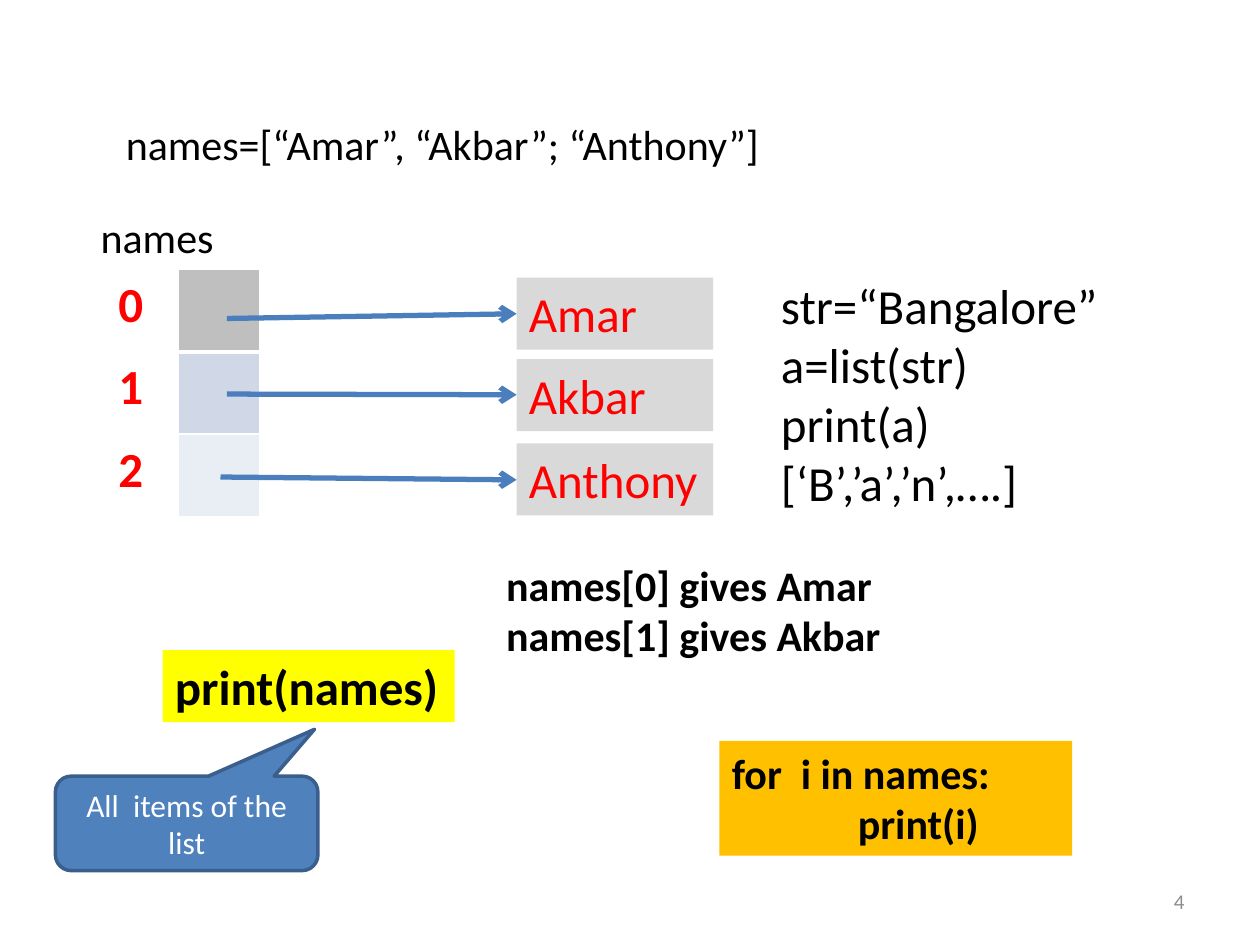
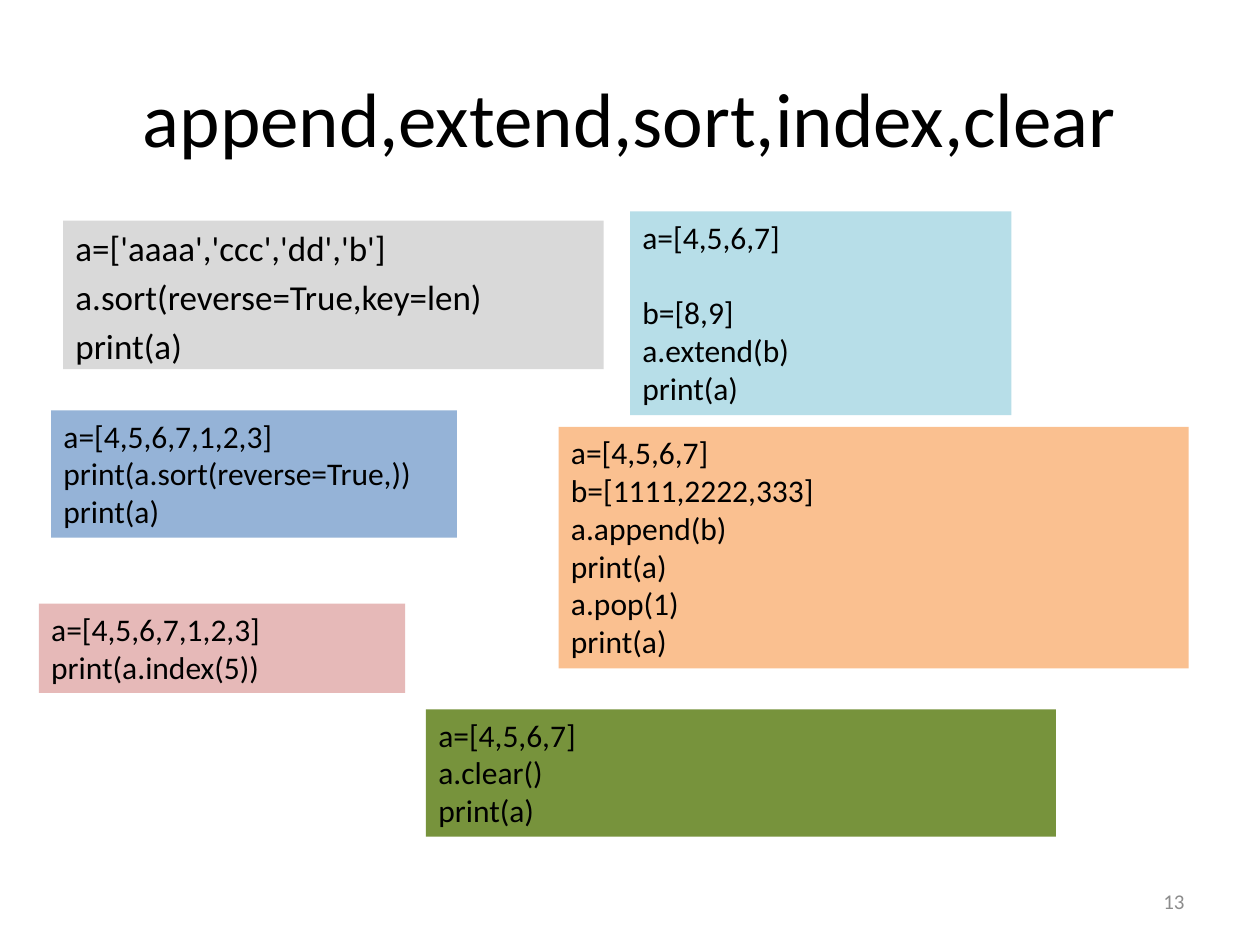
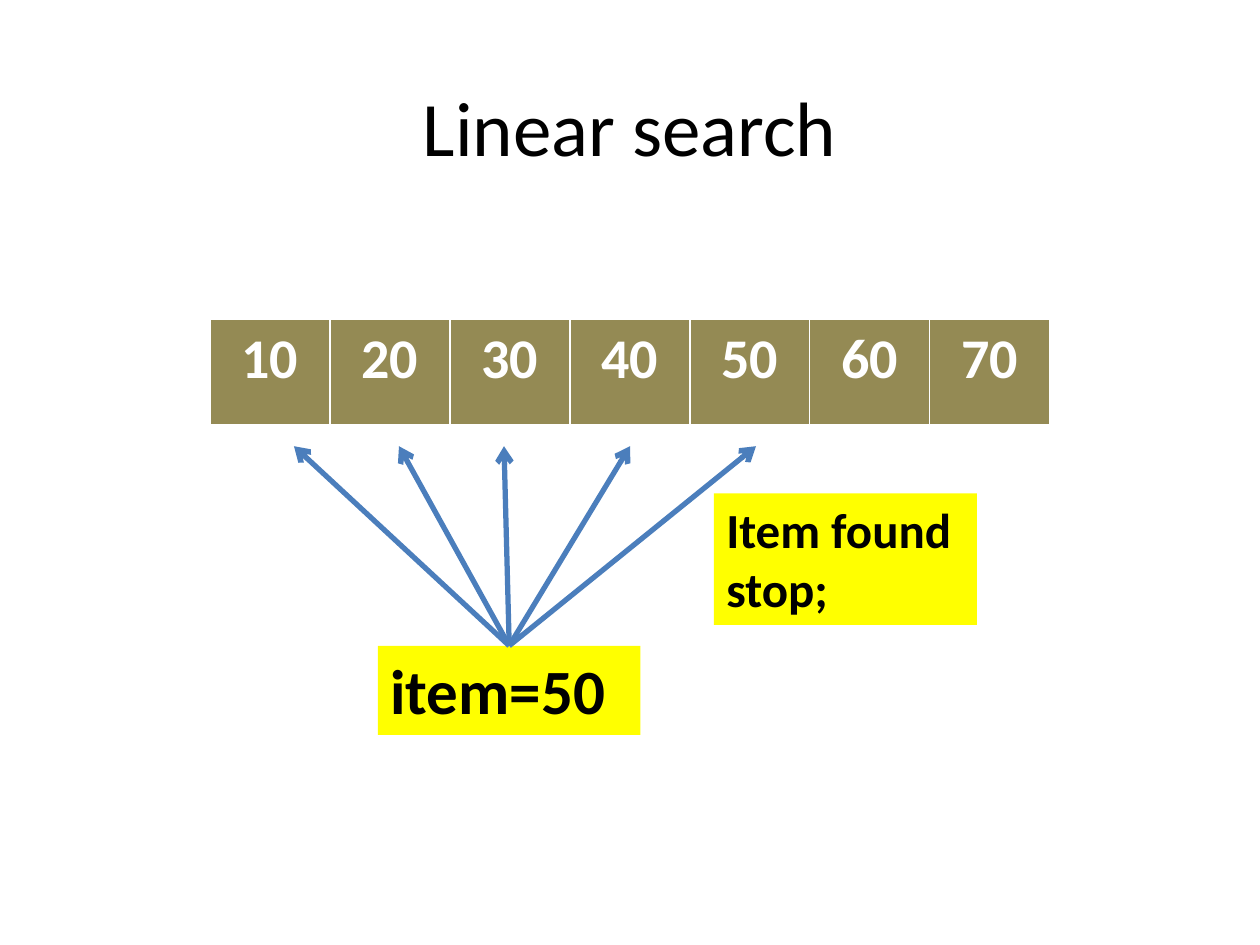
"""Build three slides on lists and linear search."""
from pptx import Presentation
from pptx.dml.color import RGBColor
from pptx.enum.shapes import MSO_CONNECTOR, MSO_SHAPE
from pptx.enum.text import MSO_ANCHOR, PP_ALIGN
from pptx.oxml.ns import qn
from pptx.util import Pt
from lxml.etree import SubElement

FONT = "Calibri"
BLACK, WHITE, RED, YELLOW = "000000", "FFFFFF", "FF0000", "FFFF00"
GREY, LIGHT_GREY, ARROW_BLUE = "8C8C8C", "D9D9D9", "4B7EBC"


def color(value):
    return RGBColor.from_string(value)


def fill_with(target, value):
    target.fill.solid()
    target.fill.fore_color.rgb = color(value)


class Deck:
    def __init__(self):
        self.presentation = Presentation()
        self.presentation.slide_width = Pt(720)
        self.presentation.slide_height = Pt(540)
        self.page = None

    def new_page(self, title=None, title_top=0):
        layouts = self.presentation.slide_layouts
        self.page = self.presentation.slides.add_slide(layouts[5 if title else 6])
        if title:
            box = self.page.shapes.title
            box.left, box.top, box.width, box.height = Pt(36), Pt(title_top), Pt(648), Pt(90)
            self.set_lines(box.text_frame, [title], 44, align=PP_ALIGN.CENTER, anchor=MSO_ANCHOR.MIDDLE)

    def set_lines(self, frame, lines, size, ink=BLACK, bold=False, align=PP_ALIGN.LEFT,
                  anchor=MSO_ANCHOR.TOP, wrap=True, before=None, indents=None):
        frame.word_wrap = wrap
        frame.vertical_anchor = anchor
        for number, line in enumerate(lines):
            para = frame.paragraphs[0] if number == 0 else frame.add_paragraph()
            para.alignment = align
            para.space_before = Pt((before or {}).get(number, 0))
            if indents and number in indents:
                para._p.get_or_add_pPr().set("marL", str(Pt(indents[number])))
            span = para.add_run()
            span.text = line
            span.font.name = FONT
            span.font.size = Pt(size)
            span.font.bold = bold
            span.font.color.rgb = color(ink)

    def text(self, place, lines, size, fill=None, **style):
        box = self.page.shapes.add_textbox(*map(Pt, place))
        if fill:
            fill_with(box, fill)
        self.set_lines(box.text_frame, lines, size, **style)

    def callout(self, place, lines, size, fill, edge, adjustments):
        shape = self.page.shapes.add_shape(MSO_SHAPE.ROUNDED_RECTANGULAR_CALLOUT, *map(Pt, place))
        shape.shadow.inherit = False
        fill_with(shape, fill)
        shape.line.color.rgb = color(edge)
        shape.line.width = Pt(2)
        for number, value in enumerate(adjustments):
            shape.adjustments[number] = value
        self.set_lines(shape.text_frame, lines, size, ink=WHITE,
                       align=PP_ALIGN.CENTER, anchor=MSO_ANCHOR.MIDDLE)

    def arrow(self, start, end):
        line = self.page.shapes.add_connector(MSO_CONNECTOR.STRAIGHT, *map(Pt, start + end))
        line.line.color.rgb = color(ARROW_BLUE)
        line.line.width = Pt(3)
        SubElement(line.get_or_add_ln(), qn("a:tailEnd"), type="arrow")
        SubElement(line._element.spPr, qn("a:effectLst"))

    def table(self, left, top, widths, row_height, rows, fills, size, ink, align):
        frame = self.page.shapes.add_table(len(rows), len(widths), Pt(left), Pt(top),
                                           Pt(sum(widths)), Pt(row_height * len(rows)))
        table = frame.table
        table.first_row = table.horz_banding = False
        for column, width in zip(table.columns, widths):
            column.width = Pt(width)
        for row_number, row in enumerate(rows):
            table.rows[row_number].height = Pt(row_height)
            for column_number, value in enumerate(row):
                cell = table.cell(row_number, column_number)
                self.borders(cell, 3 if row_number == 1 else 1, 3 if row_number == 0 else 1)
                fill_with(cell, fills[row_number][column_number])
                if value:
                    self.set_lines(cell.text_frame, [value], size, ink=ink, bold=True, align=align)

    def borders(self, cell, top, bottom):
        properties = cell._tc.get_or_add_tcPr()
        for side, width in (("L", 1), ("R", 1), ("T", top), ("B", bottom)):
            edge = SubElement(properties, qn(f"a:ln{side}"), w=str(Pt(width)))
            SubElement(SubElement(edge, qn("a:solidFill")), qn("a:srgbClr"), val=WHITE)

    def page_number(self, number):
        self.text((516, 500.5, 168, 28.75), [number], 12, ink=GREY,
                  align=PP_ALIGN.RIGHT, anchor=MSO_ANCHOR.MIDDLE)


def list_page(deck):
    deck.new_page()
    deck.text((50.4, 117.4, 96, 36), ["names"], 24)
    deck.table(60.5, 154.1, [41.4, 46.8], 47,
               [["0", ""], ["1", ""], ["2", ""]],
               [[WHITE, "BFBFBF"], [WHITE, "D0D8E8"], [WHITE, "E9EDF4"]],
               28, RED, PP_ALIGN.LEFT)
    items_left = 295.2
    for name, top, start, end_y in (
        ("Amar", 158.6, (129.6, 182), 179.3),
        ("Akbar", 205.2, (129.6, 225.2), 225.6),
        ("Anthony", 253.4, (126, 272.6), 274.2),
    ):
        deck.text((items_left, top, 112.3, 41.2), [name], 28, LIGHT_GREY, ink=RED)
        deck.arrow(start, (items_left, end_y))
    deck.text((64.8, 64.1, 596, 36), ["names=[“Amar”, “Akbar”; “Anthony”]"], 24)
    deck.text((92.9, 371.5, 167, 41.2), ["print(names)"], 28, YELLOW, bold=True, wrap=False)
    deck.text((282.2, 316.1, 230.4, 94.3), ["names[0] gives Amar", "names[1] gives Akbar"], 24, bold=True)
    deck.text((411.1, 423.4, 201.6, 65.5), ["for  i in names:", "print(i)"], 24, "FFC000",
              bold=True, indents={1: 72})
    deck.callout((31.7, 443.5, 150, 54), ["All  items of the list"], 18,
                 "4F81BD", "3A5F8C", (0.487, -0.996, 0.167))
    deck.page_number("4")
    deck.text((439.2, 154.1, 216, 143.3),
              ["str=“Bangalore”", "a=list(str)", "print(a)", "[‘B’,’a’,’n’,….]"], 28)


def methods_page(deck):
    deck.new_page("append,extend,sort,index,clear", 21.6)
    deck.text((36, 126, 309, 85), ["a=['aaaa','ccc','dd','b']", "a.sort(reverse=True,key=len)", "print(a)"],
              20, LIGHT_GREY, before={0: 4, 1: 4, 2: 4})
    deck.page_number("13")
    short, long = "a=[4,5,6,7]", "a=[4,5,6,7,1,2,3]"
    for place, fill, lines, before in (
        ((29.2, 234.5, 232, 72.7), "95B3D7", [long, "print(a.sort(reverse=True,))", "print(a)"], None),
        ((22.2, 345, 209.3, 50.9), "E6B9B8", [long, "print(a.index(5))"], None),
        ((319.2, 244, 360, 138), "FAC090",
         [short, "b=[1111,2222,333]", "a.append(b)", "print(a)", "a.pop(1)", "print(a)"], None),
        ((360, 120.8, 218, 116.4), "B7DEE8", [short, "b=[8,9]", "a.extend(b)", "print(a)"], {1: 21.5}),
        ((243.4, 405.4, 360, 72.7), "77933C", [short, "a.clear()", "print(a)"], None),
    ):
        deck.text(place, lines, 18, fill, before=before)


def search_page(deck):
    deck.new_page("Linear search", 27)
    values = [str(value) for value in range(10, 80, 10)]
    deck.table(120, 182.2, [68.57] * len(values), 61.5, [values], [["948A54"] * len(values)],
               32, WHITE, PP_ALIGN.CENTER)
    deck.text((216, 369, 150, 51), ["item=50"], 36, YELLOW, bold=True)
    for tip in (168, 228, 288, 360, 432):
        deck.arrow((291, 369), (tip, 255))
    deck.text((408, 282, 150.3, 75.1), ["Item found", "stop;"], 28, YELLOW, bold=True, wrap=False)


def main():
    deck = Deck()
    list_page(deck)
    methods_page(deck)
    search_page(deck)
    deck.presentation.save("out.pptx")


if __name__ == "__main__":
    main()
